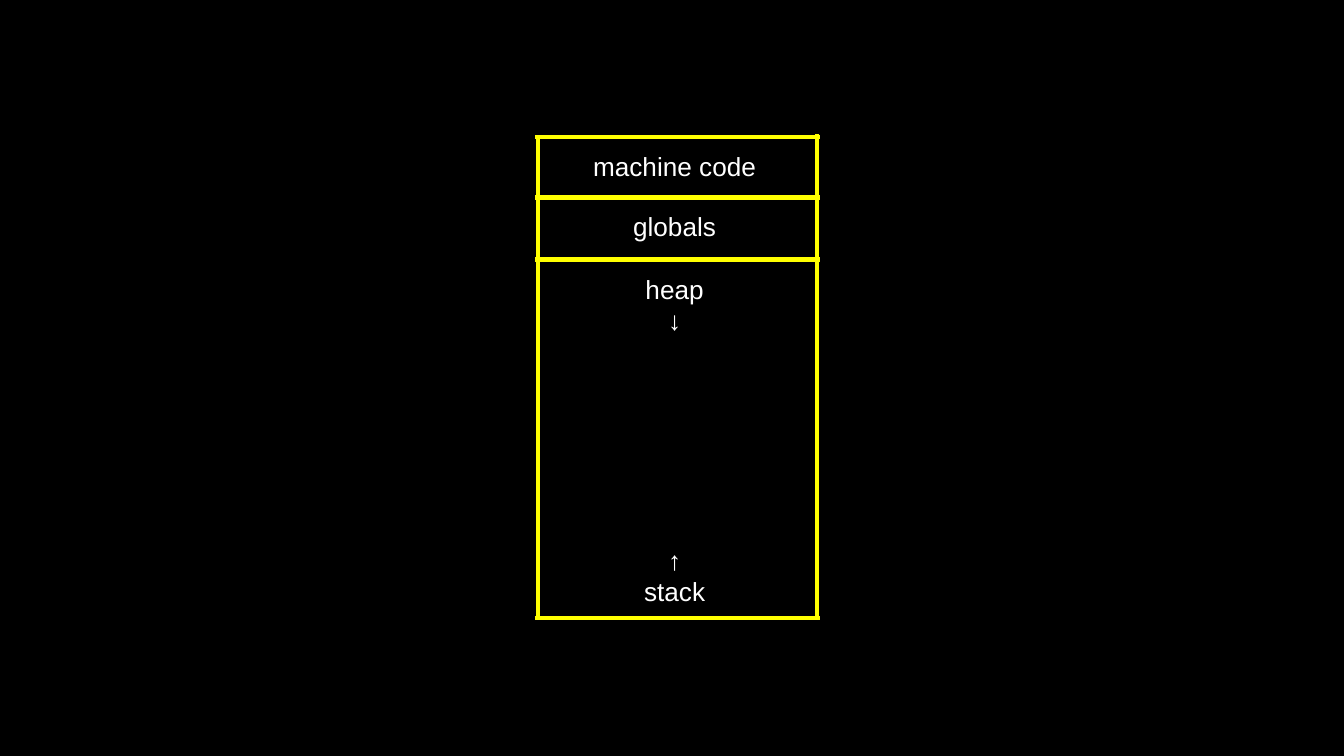
from dataclasses import dataclass

from lxml.etree import SubElement
from pptx import Presentation
from pptx.dml.color import RGBColor as Color
from pptx.enum.shapes import MSO_CONNECTOR as Connector
from pptx.enum.text import MSO_ANCHOR as Anchor, PP_ALIGN as Align
from pptx.oxml.ns import qn
from pptx.slide import Slide
from pptx.util import Pt


@dataclass(frozen=True)
class Theme:
    background: Color = Color(0, 0, 0)
    border: Color = Color(255, 255, 0)
    text: Color = Color(255, 255, 255)
    font: str = "Arial"
    text_size: float = 14
    border_width: float = 2.25
    inset: float = 7.2


@dataclass(frozen=True)
class Border:
    x1: float
    y1: float
    x2: float
    y2: float


@dataclass(frozen=True)
class Segment:
    top: float
    height: float
    lines: tuple[str, ...]


THEME = Theme()
LABEL_LEFT, LABEL_WIDTH = 285.1, 152.6
ONE_LINE, TWO_LINES = 28.8, 46.1
CODE_TOP, GLOBALS_TOP, HEAP_TOP, STACK_TOP, BOTTOM = 73.4, 105.8, 139, 284.4, 331.2

BORDERS = [Border(437.8, 72, 437.8, 331.2), Border(288, 72.7, 288, 331.9)] + [
    Border(286.6, y, 439.2, y) for y in (CODE_TOP, BOTTOM, HEAP_TOP, GLOBALS_TOP)
]
SEGMENTS = [
    Segment(CODE_TOP, ONE_LINE, ("machine code",)),
    Segment(GLOBALS_TOP, ONE_LINE, ("globals",)),
    Segment(HEAP_TOP, TWO_LINES, ("heap", "↓")),
    Segment(STACK_TOP, TWO_LINES, ("↑", "stack")),
]


def draw_border(slide: Slide, border: Border) -> None:
    connector = slide.shapes.add_connector(
        Connector.STRAIGHT, Pt(border.x1), Pt(border.y1), Pt(border.x2), Pt(border.y2)
    )
    connector.line.color.rgb = THEME.border
    connector.line.width = Pt(THEME.border_width)
    SubElement(connector._element.spPr, qn("a:effectLst"))


def draw_label(slide: Slide, segment: Segment) -> None:
    shape = slide.shapes.add_textbox(
        Pt(LABEL_LEFT), Pt(segment.top), Pt(LABEL_WIDTH), Pt(segment.height)
    )
    frame = shape.text_frame
    frame.word_wrap = True
    frame.vertical_anchor = Anchor.TOP
    frame.margin_left = frame.margin_right = Pt(THEME.inset)
    frame.margin_top = frame.margin_bottom = Pt(THEME.inset)
    for index, line in enumerate(segment.lines):
        paragraph = frame.add_paragraph() if index else frame.paragraphs[0]
        paragraph.alignment = Align.CENTER
        run = paragraph.add_run()
        run.text = line
        run.font.name = THEME.font
        run.font.size = Pt(THEME.text_size)
        run.font.color.rgb = THEME.text


def main() -> None:
    """Build a slide showing the memory layout of a program."""
    presentation = Presentation()
    presentation.slide_width, presentation.slide_height = Pt(720), Pt(405)
    slide = presentation.slides.add_slide(presentation.slide_layouts[6])
    slide.background.fill.solid()
    slide.background.fill.fore_color.rgb = THEME.background
    for border in BORDERS:
        draw_border(slide, border)
    for segment in SEGMENTS:
        draw_label(slide, segment)
    presentation.save("out.pptx")


if __name__ == "__main__":
    main()
